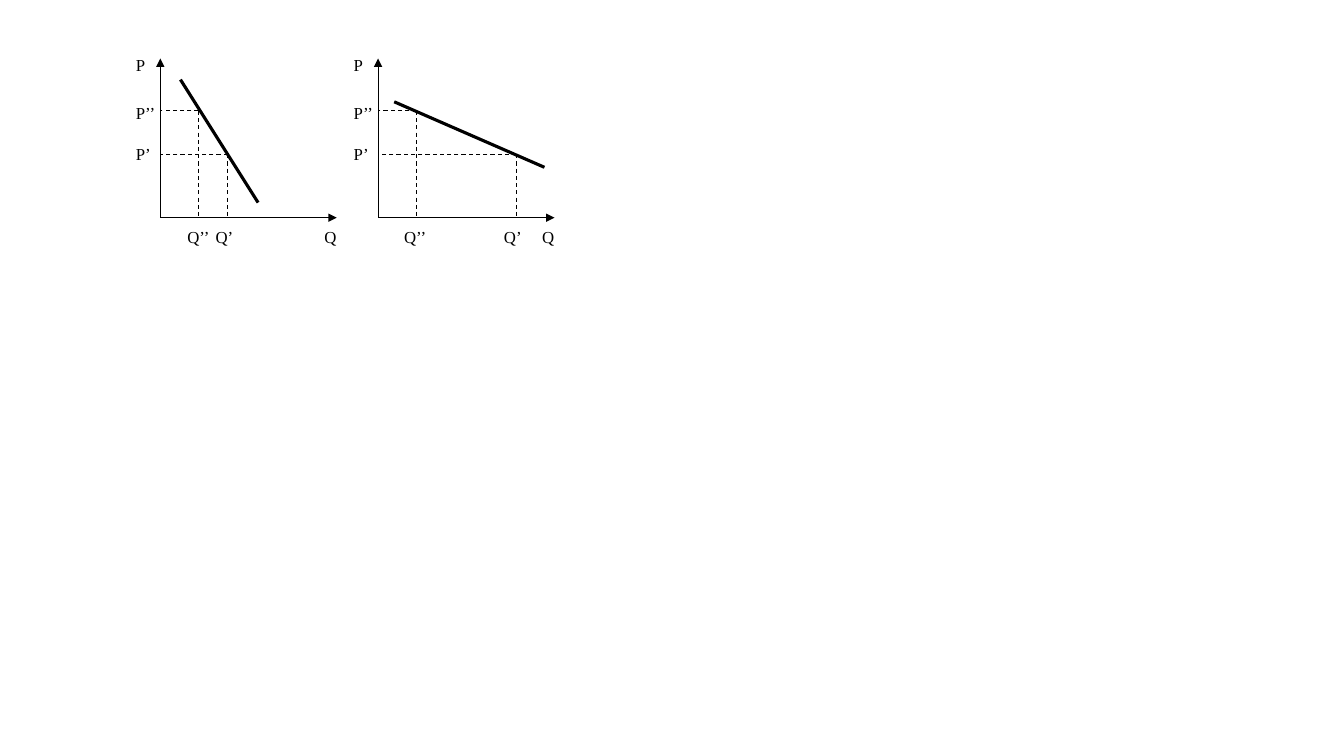
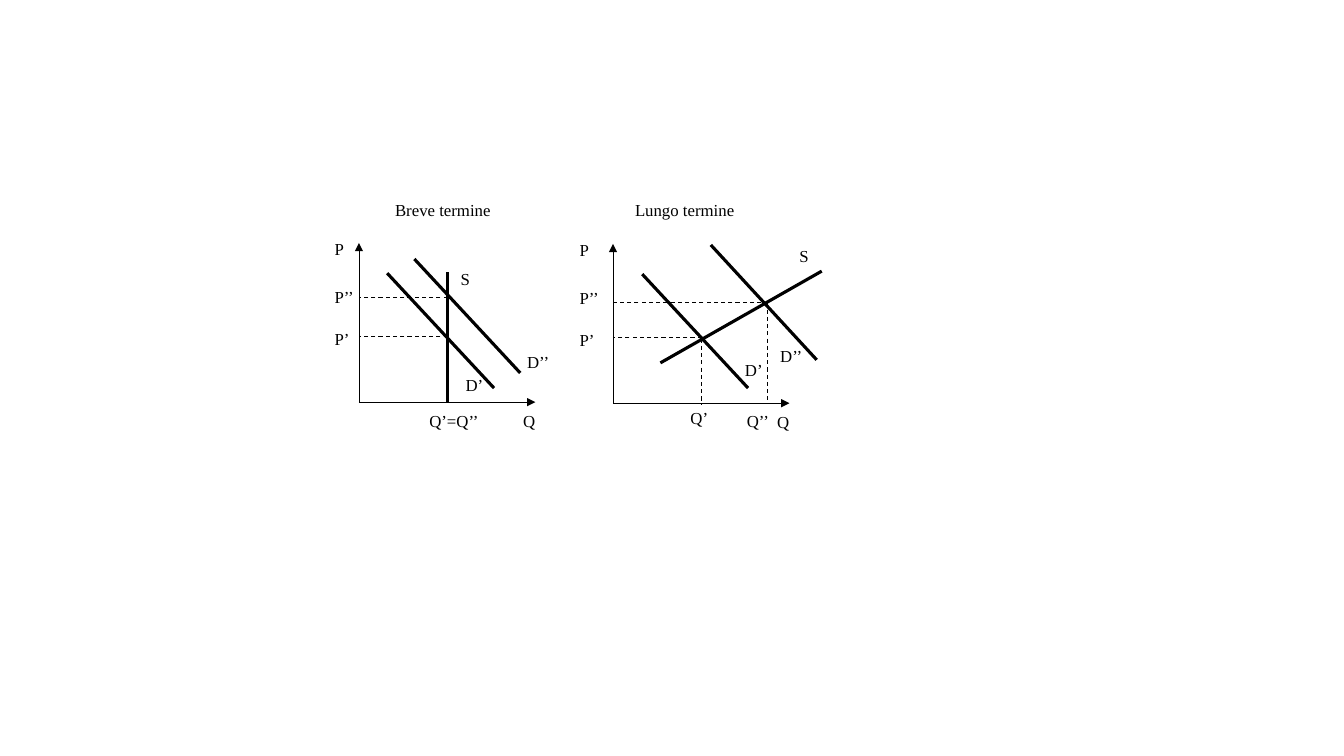
"""Builds two slides of demand and supply diagrams."""
from dataclasses import dataclass, field

from lxml.etree import SubElement
from pptx import Presentation
from pptx.dml.color import RGBColor
from pptx.enum.dml import MSO_LINE
from pptx.enum.shapes import MSO_CONNECTOR as CONNECTOR
from pptx.enum.text import MSO_AUTO_SIZE as AUTO_SIZE
from pptx.oxml.ns import qn
from pptx.util import Inches, Pt


@dataclass(frozen=True)
class Theme:
    ink: RGBColor = RGBColor(0, 0, 0)
    font: str = "Times New Roman"
    text_size: float = 12
    axis_width: float = 0.5
    guide_width: float = 0.75
    curve_width: float = 2.25


@dataclass(frozen=True)
class Diagram:
    """Offsets run right and up from the origin, in inches."""
    origin: tuple
    curves: list
    price_guides: list
    quantity_guides: list
    labels: list
    price_label_x: float = -0.34
    grouped: bool = True
    price_labels: list = field(default_factory=lambda: [("P", 1.67), ("P’", 0.78), ("P’’", 1.19)])


THEME = Theme()
AXIS_HEIGHT, AXIS_LENGTH = 1.58, 1.75
LABEL_WIDTH, LABEL_HEIGHT = 0.44, 0.3
QUANTITY_LABEL = ("Q", 1.53, -0.04)


def add_text(shapes, text, x, y, width=LABEL_WIDTH, size=THEME.text_size, color=THEME.ink):
    label = shapes.add_textbox(Inches(x), Inches(y), Inches(width), Inches(LABEL_HEIGHT))
    frame = label.text_frame
    frame.word_wrap = True
    frame.auto_size = AUTO_SIZE.SHAPE_TO_FIT_TEXT
    run = frame.paragraphs[0].add_run()
    run.text = text
    run.font.name = THEME.font
    run.font.size = Pt(size)
    run.font.color.rgb = color


def add_line(shapes, origin, start, end, width, dashed=False, arrow=False):
    left, base = origin
    line = shapes.add_connector(
        CONNECTOR.STRAIGHT,
        Inches(left + start[0]), Inches(base - start[1]),
        Inches(left + end[0]), Inches(base - end[1]),
    )
    line.line.color.rgb = THEME.ink
    line.line.width = Pt(width)
    if dashed:
        line.line.dash_style = MSO_LINE.DASH
    properties = line._element.spPr
    if arrow:
        SubElement(properties.find(qn("a:ln")), qn("a:tailEnd"), type="triangle")
    SubElement(properties, qn("a:effectLst"))


steep_demand = Diagram(
    origin=(1.59, 2.16),
    curves=[((0.2, 1.37), (0.97, 0.15))],
    price_guides=[(0.38, 1.06), (0.67, 0.63)],
    quantity_guides=[(0.38, 1.06, 0), (0.67, 0.63, 0)],
    labels=[("Q’’", 0.17, -0.04), ("Q’", 0.45, -0.04)],
)
flat_demand = Diagram(
    origin=(3.75, 2.16),
    curves=[((0.16, 1.15), (1.65, 0.5))],
    price_guides=[(0.38, 1.06), (1.37, 0.63)],
    quantity_guides=[(0.38, 1.06, 0), (1.37, 0.63, 0)],
    labels=[("Q’’", 0.16, -0.04), ("Q’", 1.15, -0.04)],
)
short_term = Diagram(
    origin=(3.56, 3.99),
    curves=[
        ((0.88, 1.29), (0.88, 0)),
        ((0.28, 1.28), (1.34, 0.14)),
        ((0.55, 1.42), (1.6, 0.29)),
    ],
    price_guides=[(0.88, 1.04), (0.88, 0.65)],
    quantity_guides=[],
    labels=[
        ("Q’=Q’’", 0.6, -0.04, 0.74),
        ("S", 0.91, 1.37, 1.06),
        ("D’", 0.96, 0.32),
        ("D’’", 1.57, 0.55),
        ("Breve termine", 0.26, 2.06, 1.24),
    ],
    grouped=False,
)
long_term = Diagram(
    origin=(6.08, 4),
    curves=[
        ((2.07, 1.31), (0.47, 0.4)),
        ((0.29, 1.28), (1.34, 0.15)),
        ((0.97, 1.57), (2.02, 0.43)),
    ],
    price_guides=[(1.47, 1), (0.88, 0.65)],
    quantity_guides=[(0.88, 0.64, -0.02), (1.53, 1, 0)],
    labels=[
        ("Q’", 0.67, 0, 0.74),
        ("S", 1.75, 1.61, 0.41),
        ("D’’", 1.56, 0.62),
        ("D’", 1.21, 0.48),
        ("Lungo termine", 0.12, 2.07, 1.24),
        ("Q’’", 1.23, -0.03, 0.74),
    ],
    price_label_x=-0.43,
)

deck = Presentation()
deck.slide_width, deck.slide_height = Inches(13.33), Inches(7.5)
blank_layout = deck.slide_layouts[6]

for diagrams in ((steep_demand, flat_demand), (short_term, long_term)):
    slide = deck.slides.add_slide(blank_layout)
    for diagram in diagrams:
        shapes = slide.shapes.add_group_shape().shapes if diagram.grouped else slide.shapes
        origin = diagram.origin
        for axis_end in ((0, AXIS_HEIGHT), (AXIS_LENGTH, 0)):
            add_line(shapes, origin, (0, 0), axis_end, THEME.axis_width, arrow=True)
        for start, end in diagram.curves:
            add_line(shapes, origin, start, end, THEME.curve_width)
        for quantity, price in diagram.price_guides:
            add_line(shapes, origin, (quantity, price), (0, price), THEME.guide_width, dashed=True)
        for quantity, top, bottom in diagram.quantity_guides:
            add_line(shapes, origin, (quantity, top), (quantity, bottom), THEME.guide_width, dashed=True)
        price_labels = [(text, diagram.price_label_x, rise) for text, rise in diagram.price_labels]
        for text, across, rise, *width in [*price_labels, QUANTITY_LABEL, *diagram.labels]:
            add_text(shapes, text, origin[0] + across, origin[1] - rise, *width)

deck.save("out.pptx")
